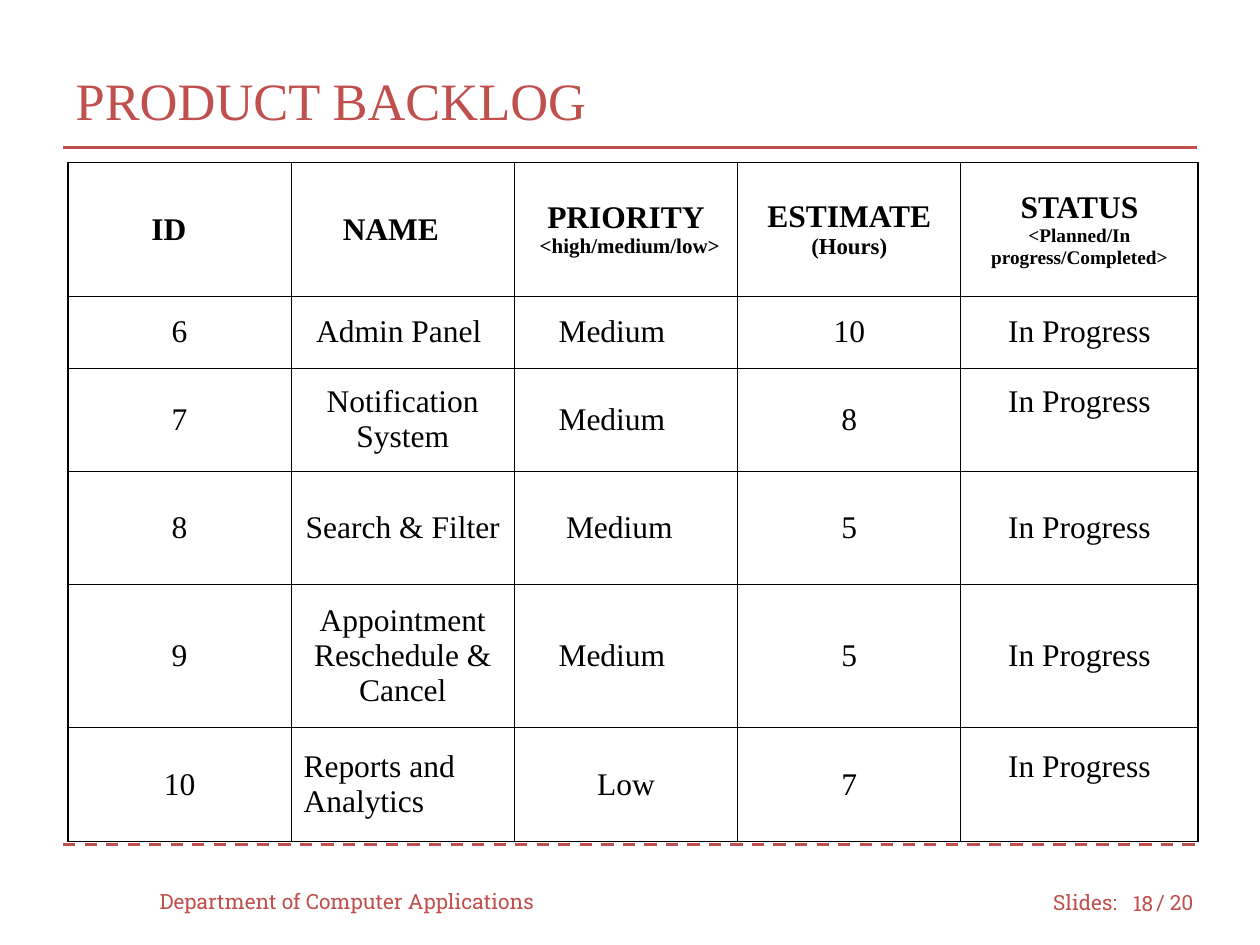
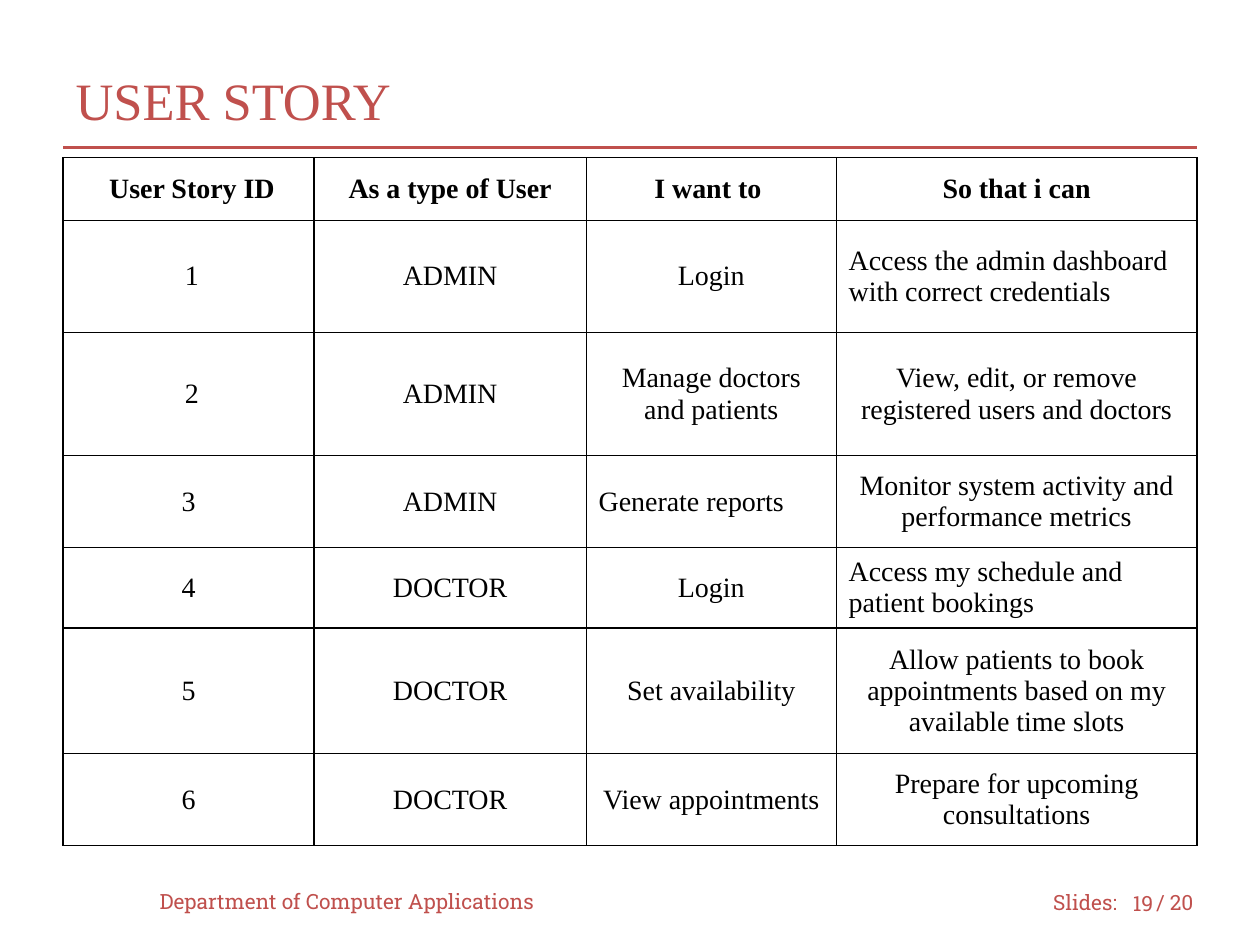
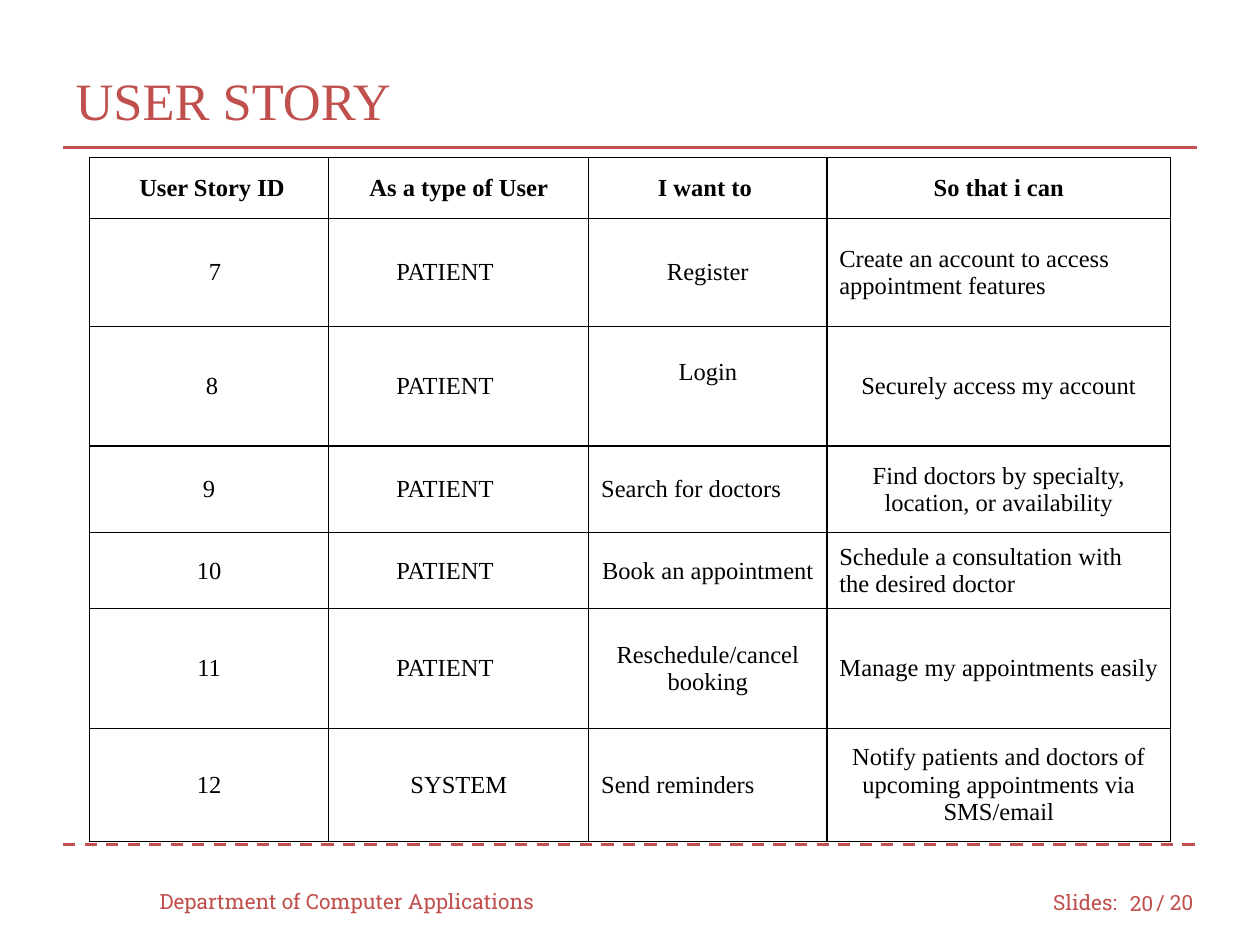
import pptx
import pptx.dml.color
import pptx.enum.dml
import pptx.enum.shapes
import pptx.enum.text
import pptx.oxml
import pptx.oxml.ns
import pptx.util
from pptx.util import Cm

RED, BLACK, WHITE = "C0504D", "000000", "FFFFFF"
SERIF, SLAB = "Times New Roman", "Roboto Slab"
LEFT = pptx.enum.text.PP_ALIGN.LEFT
MID = pptx.enum.text.PP_ALIGN.CENTER
RIGHT = pptx.enum.text.PP_ALIGN.RIGHT
TOTAL = 20


def color(code):
    return pptx.dml.color.RGBColor.from_string(code)


def style(para, size, face, code, align=LEFT, bold=False):
    para.alignment = align
    para.font.color.rgb = color(code)
    marks = {"size": pptx.util.Pt(size), "name": face, "bold": bold}
    for name, value in marks.items():
        setattr(para.font, name, value)


# Shared frame: title, rules and footer
def head(slide, text):
    title = slide.shapes.title
    place = {"left": 1.27, "top": 0.84, "width": 22.86, "height": 2.34}
    for name, value in place.items():
        setattr(title, name, Cm(value))
    title.text_frame.text = text
    title.text_frame.vertical_anchor = pptx.enum.text.MSO_ANCHOR.MIDDLE
    style(title.text_frame.paragraphs[0], 30, SERIF, RED)


def rule(slide, y, dash=None):
    line = slide.shapes.add_connector(
        pptx.enum.shapes.MSO_CONNECTOR.STRAIGHT,
        Cm(1.27), Cm(y), Cm(24.13), Cm(y))
    line.line.color.rgb = color(RED)
    line.line.width = pptx.util.Pt(1.75)
    if dash:
        line.line.dash_style = dash
    pptx.oxml.ns  # namespace table for the effect list below
    line.element.spPr.append(pptx.oxml.parse_xml(
        f"<a:effectLst {pptx.oxml.ns.nsdecls('a')}/>"))


def label(slide, text, x, y, width, align=LEFT):
    box = slide.shapes.add_textbox(Cm(x), Cm(y), Cm(width), Cm(1.02))
    frame = box.text_frame
    frame.word_wrap = True
    frame.vertical_anchor = pptx.enum.text.MSO_ANCHOR.MIDDLE
    frame.text = text
    style(frame.paragraphs[0], 12, SLAB, RED, align)


def start(deck, title, page):
    slide = deck.slides.add_slide(deck.slide_layouts[5])
    head(slide, title)
    rule(slide, 2.97)
    rule(slide, 17.02, pptx.enum.dml.MSO_LINE.DASH)
    label(slide, "Department of Computer Applications", 2.97, 17.65, 8.46)
    label(slide, "Slides:", 20.98, 17.68, 1.9)
    label(slide, str(page), 22.43, 17.7, 1.07, RIGHT)
    label(slide, f"/ {TOTAL}", 23.06, 17.68, 1.47)
    return slide


# Table parts: a cell is a text, or a list of lines made by part()
def part(text, pad=0, align=MID, size=None, lift=0):
    """pad indents from the left, or from the right when negative."""
    return {"text": text, "pad": pad, "align": align,
            "size": size, "lift": lift}


def left(text, pad=0):
    return [part(text, pad, LEFT)]


def shift(text, pad=0, lift=0):
    return [part(text, pad, lift=lift)]


def edge(cell):
    props = cell._tc.get_or_add_tcPr()
    for side in "LRTB":
        props.append(pptx.oxml.parse_xml(
            f'<a:ln{side} {pptx.oxml.ns.nsdecls("a")} w="9525"><a:solidFill>'
            f'<a:srgbClr val="{BLACK}"/></a:solidFill></a:ln{side}>'))


def write(cell, lines, size, bold):
    edge(cell)
    cell.fill.solid()
    cell.fill.fore_color.rgb = color(WHITE)
    cell.vertical_anchor = pptx.enum.text.MSO_ANCHOR.MIDDLE
    gap = 0.13 if lines[0]["align"] == LEFT else 0.25
    cell.margin_left = cell.margin_right = Cm(0.25)
    cell.margin_top = Cm(gap)
    cell.margin_bottom = Cm(gap + lines[0]["lift"])
    cell.text_frame.text = "\n".join(line["text"] for line in lines)
    for para, line in zip(cell.text_frame.paragraphs, lines):
        style(para, line["size"] or size, SERIF, BLACK, line["align"], bold)
        if line["pad"]:
            side = "marL" if line["pad"] > 0 else "marR"
            props = para._p.get_or_add_pPr()
            props.set(side, str(int(Cm(abs(line["pad"])))))


def grid(slide, x, y, widths, heights, size, rows):
    table = slide.shapes.add_table(
        len(rows), len(widths), Cm(x), Cm(y),
        Cm(sum(widths)), Cm(sum(heights))).table
    table.first_row = table.horz_banding = False
    for col, width in zip(table.columns, widths):
        col.width = Cm(width)
    for r, (height, row) in enumerate(zip(heights, rows)):
        table.rows[r].height = Cm(height)
        for c, item in enumerate(row):
            lines = [part(item)] if isinstance(item, str) else item
            write(table.cell(r, c), lines, size, r == 0)


def heads(space):
    return [shift("User Story ID", space), "As a type of User",
            shift("I want to", -space), "So that i can"]


# Slides
def backlog(deck):
    slide = start(deck, "PRODUCT BACKLOG", 18)
    state = "In Progress"
    high = shift(state, lift=0.71)
    medium = left("Medium", 0.64)
    grid(slide, 1.37, 3.28, [4.5] * 4 + [4.78],
         [2.69, 1.45, 2.08, 2.29, 2.87, 2.31], 18, [
        [left("ID", 1.43), left("NAME", 0.79),
         [part("PRIORITY"), part("<high/medium/low>", 0.26, LEFT, 12)],
         [part("ESTIMATE"), part("(Hours)", size=13)],
         [part("STATUS"),
          part("<Planned/In progress/Completed>", size=11)]],
        ["6", shift("Admin Panel", -0.16), medium, "10", state],
        ["7", "Notification System", medium, "8", high],
        ["8", "Search & Filter", left("Medium", 0.79), "5", state],
        ["9", "Appointment Reschedule & Cancel", medium, "5", state],
        ["10", left("Reports and Analytics"), "Low", "7", high],
    ])


def staff(deck):
    slide = start(deck, "USER STORY", 19)
    space = 0.14
    grid(slide, 1.27, 3.18, [5.06, 5.49, 5.04, 7.27],
         [1.26, 2.26, 2.49, 1.8, 1.58, 2.49, 1.8], 16, [
        heads(space),
        [shift("1", space), "ADMIN", "Login",
         left("Access the admin dashboard with correct credentials")],
        [shift("2", space), "ADMIN", "Manage doctors and patients",
         "View, edit, or remove registered users and doctors"],
        ["3", "ADMIN", left("Generate reports"),
         "Monitor system activity and performance metrics"],
        ["4", "DOCTOR", "Login",
         left("Access my schedule and patient bookings")],
        ["5", "DOCTOR", "Set availability",
         "Allow patients to book appointments based on my "
         "available time slots"],
        ["6", "DOCTOR", "View appointments",
         "Prepare for upcoming consultations"],
    ])


def care(deck):
    slide = start(deck, "USER STORY", 20)
    space = 0.12
    patient = left("PATIENT", 1.11)
    grid(slide, 1.8, 3.18, [4.83, 5.24, 4.8, 6.93],
         [1.22, 2.18, 2.41, 1.75, 1.53, 2.41, 2.21], 14, [
        heads(space),
        [shift("7", 2 * space), patient, "Register",
         left("Create an account to access appointment features")],
        [shift("8", space), patient, shift("Login", lift=0.55),
         "Securely access my account"],
        ["9", patient, left("Search for doctors"),
         "Find doctors by specialty, location, or availability"],
        ["10", patient, "Book an appointment",
         left("Schedule a consultation with the desired doctor")],
        ["11", patient, "Reschedule/cancel booking",
         "Manage my appointments easily"],
        ["12", "SYSTEM", left("Send reminders"),
         "Notify patients and doctors of upcoming appointments "
         "via SMS/email"],
    ])


def main():
    deck = pptx.Presentation()
    deck.slide_width, deck.slide_height = Cm(25.4), Cm(19.05)
    for build in (backlog, staff, care):
        build(deck)
    deck.save("out.pptx")


if __name__ == "__main__":
    main()
